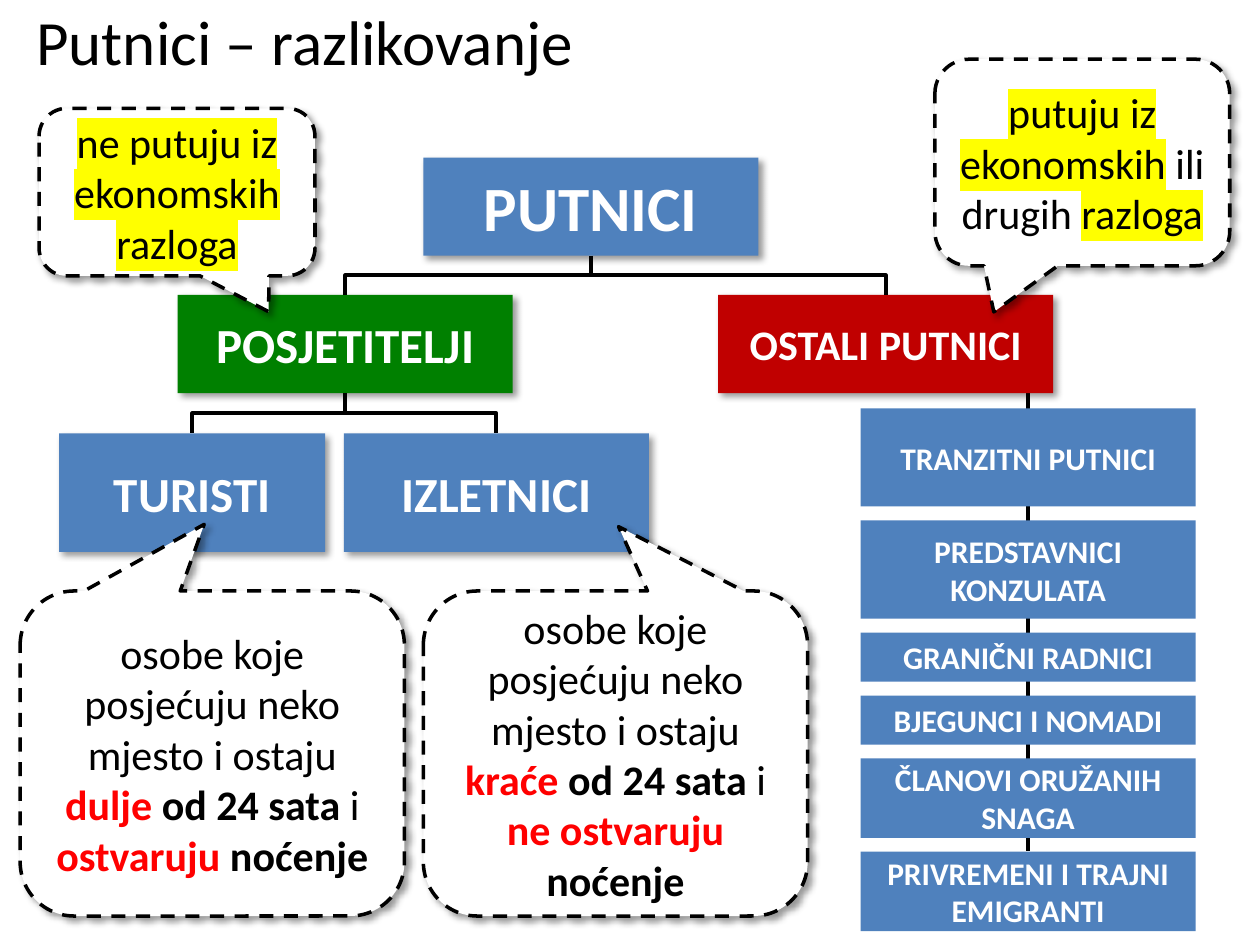
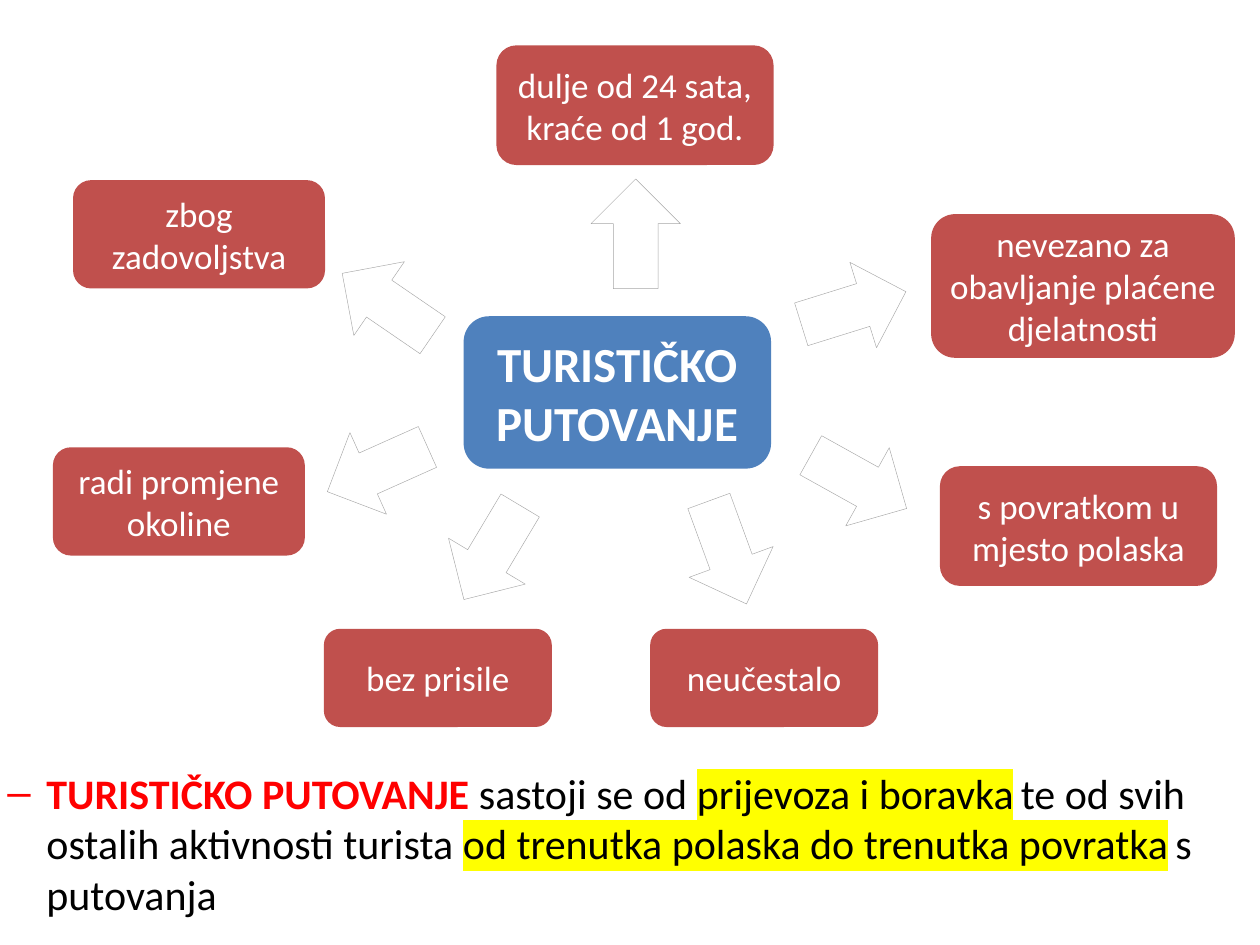
from dataclasses import dataclass

from lxml import etree
from pptx import Presentation
from pptx.dml.color import RGBColor
from pptx.enum.dml import MSO_LINE
from pptx.enum.shapes import MSO_CONNECTOR, MSO_SHAPE
from pptx.enum.text import MSO_ANCHOR, PP_ALIGN
from pptx.oxml.ns import qn
from pptx.util import Emu, Inches, Pt


@dataclass(frozen=True)
class Theme:
    font: str = "Calibri"
    black: str = "000000"
    white: str = "FFFFFF"
    blue: str = "4F81BD"
    green: str = "008000"
    dark_red: str = "C00000"
    brick: str = "C0504D"
    red: str = "FF0000"
    grey: str = "A6A6A6"
    yellow: str = "FFFF00"
    title: int = 36
    heading: int = 28
    body: int = 24
    label: int = 20
    small: int = 18


THEME = Theme()

# Run formats
PLAIN = {"color": THEME.black, "size": THEME.body}
STRONG = PLAIN | {"bold": True}
ALERT = STRONG | {"color": THEME.red}
MARKED = PLAIN | {"highlight": THEME.yellow}
NARROW = PLAIN | {"size": THEME.small}


def white_text(size, bold=True):
    return {"color": THEME.white, "size": size, "bold": bold}


def add_runs(paragraph, runs):
    for text, style in runs:
        run = paragraph.add_run()
        run.text = text
        run.font.color.rgb = RGBColor.from_string(style["color"])
        if "highlight" in style:
            highlight = etree.SubElement(run.font._element, qn("a:highlight"))
            etree.SubElement(highlight, qn("a:srgbClr"), val=style["highlight"])
        values = {"name": THEME.font, "size": Pt(style["size"]),
                  "bold": style.get("bold", False)}
        for name, value in values.items():
            setattr(run.font, name, value)


def add_box(slide, kind, place, fill, runs=(), shadow=False, line=None, margin=None):
    """Filled shape with centred text; line is (colour, width, dash style)."""
    shape = slide.shapes.add_shape(kind, *map(Inches, place))
    shape.fill.solid()
    shape.fill.fore_color.rgb = RGBColor.from_string(fill)
    if line:
        colour, width, dash = line
        shape.line.color.rgb = RGBColor.from_string(colour)
        shape.line.width = Pt(width)
        shape.line.dash_style = dash
    else:
        shape.line.fill.background()
    shape.shadow.inherit = False
    if shadow:
        add_shadow(shape)
    frame = shape.text_frame
    frame.word_wrap = True
    frame.vertical_anchor = MSO_ANCHOR.MIDDLE
    if margin is not None:
        for side in ("left", "top", "right", "bottom"):
            setattr(frame, f"margin_{side}", Inches(margin))
    frame.paragraphs[0].alignment = PP_ALIGN.CENTER
    add_runs(frame.paragraphs[0], runs)
    return shape


def add_shadow(shape):
    effects = shape._element.spPr.find(qn("a:effectLst"))
    outer = etree.SubElement(effects, qn("a:outerShdw"), blurRad=str(Pt(4)),
                             dist=str(Pt(3)), dir="2700000", algn="tl",
                             rotWithShape="0")
    colour = etree.SubElement(outer, qn("a:srgbClr"), val=THEME.black)
    etree.SubElement(colour, qn("a:alpha"), val="40000")


def add_callout(slide, place, pointer, runs):
    callout = add_box(slide, MSO_SHAPE.ROUNDED_RECTANGULAR_CALLOUT, place,
                      THEME.white, runs, shadow=True,
                      line=(THEME.black, 2, MSO_LINE.DASH))
    for index, value in enumerate(pointer):
        callout.adjustments[index] = value


def add_line(slide, kind, *ends):
    connector = slide.shapes.add_connector(kind, *map(Emu, ends))
    connector.line.color.rgb = RGBColor.from_string(THEME.black)
    connector.line.width = Pt(2.25)
    etree.SubElement(connector._element.spPr, qn("a:effectLst"))
    return connector


def add_branch(slide, parent, child):
    """Elbow from the parent's bottom centre down to the child's top centre."""
    start_x = parent.left + parent.width // 2
    start_y = parent.top + parent.height
    end_x = child.left + child.width // 2
    middle_x, middle_y = (start_x + end_x) // 2, (start_y + child.top) // 2
    half_drop = (child.top - start_y) // 2
    half_span = abs(end_x - start_x) // 2
    rotation = 90
    if end_x > start_x:
        half_drop, rotation = -half_drop, 270
    # The unrotated elbow is horizontal, so its sides are swapped
    elbow = add_line(slide, MSO_CONNECTOR.ELBOW,
                     middle_x - half_drop, middle_y - half_span,
                     middle_x + half_drop, middle_y + half_span)
    elbow._element.spPr.find(qn("a:xfrm")).set("rot", str(rotation * 60000))


def add_text(slide, place, runs, anchor=MSO_ANCHOR.TOP, bullet=None):
    frame = slide.shapes.add_textbox(*map(Inches, place)).text_frame
    frame.word_wrap = True
    frame.vertical_anchor = anchor
    paragraph = frame.paragraphs[0]
    if bullet:
        properties = paragraph._p.get_or_add_pPr()
        properties.set("marL", str(Inches(0.31)))
        properties.set("indent", str(Inches(-0.31)))
        etree.SubElement(properties, qn("a:buFont"), typeface="Arial")
        etree.SubElement(properties, qn("a:buChar"), char=bullet)
    add_runs(paragraph, runs)


def add_traveller_list(slide):
    add_line(slide, MSO_CONNECTOR.STRAIGHT, *map(Inches, (8.16, 3.08, 8.16, 6.75)))
    top, gap = 3.24, 0.11
    for text, height in (
        ("TRANZITNI PUTNICI", 0.78),
        ("PREDSTAVNICI KONZULATA", 0.78),
        ("GRANIČNI RADNICI", 0.39),
        ("BJEGUNCI I NOMADI", 0.39),
        ("ČLANOVI ORUŽANIH SNAGA", 0.63),
        ("PRIVREMENI I TRAJNI EMIGRANTI", 0.63),
    ):
        add_box(slide, MSO_SHAPE.RECTANGLE, (6.83, top, 2.66, height), THEME.blue,
                [(text, white_text(THEME.small))])
        top += height + gap


def build_travellers(slide):
    add_traveller_list(slide)
    add_text(slide, (0.19, -0.03, 9.69, 0.7),
             [("Putnici – razlikovanje", PLAIN | {"size": THEME.title})],
             anchor=MSO_ANCHOR.MIDDLE)

    # Hierarchy of travellers
    travellers, visitors, others, tourists, day_trippers = (
        add_box(slide, MSO_SHAPE.RECTANGLE, place, fill,
                [(text, white_text(size))], shadow=True)
        for text, place, fill, size in (
            ("PUTNICI", (3.36, 1.25, 2.66, 0.78), THEME.blue, THEME.title),
            ("POSJETITELJI", (1.41, 2.34, 2.66, 0.78), THEME.green, THEME.heading),
            ("OSTALI PUTNICI", (5.7, 2.34, 2.66, 0.78), THEME.dark_red, THEME.body),
            ("TURISTI", (0.47, 3.44, 2.11, 0.94), THEME.blue, THEME.heading),
            ("IZLETNICI", (2.73, 3.44, 2.42, 0.94), THEME.blue, THEME.heading),
        )
    )
    for parent, child in ((travellers, visitors), (travellers, others),
                          (visitors, tourists), (visitors, day_trippers)):
        add_branch(slide, parent, child)

    # Explanations
    for left, pointer, length, overnight in (
        (0.16, (-0.021, -0.705), "dulje", "ostvaruju"),
        (3.36, (0.008, -0.698), "kraće", "ne ostvaruju"),
    ):
        add_callout(slide, (left, 4.69, 3.05, 2.58), pointer, [
            ("osobe koje posjećuju neko mjesto i ostaju ", PLAIN),
            (length, ALERT), (" od 24 sata ", STRONG), ("i ", PLAIN),
            (overnight, ALERT), (" noćenje", STRONG)])
    add_callout(slide, (7.42, 0.47, 2.34, 1.64), (-0.3, 0.723), [
        ("putuju iz ekonomskih", MARKED), (" ili drugih ", PLAIN),
        ("razloga", MARKED)])
    add_callout(slide, (0.31, 0.86, 2.19, 1.33), (0.332, 0.714),
                [("ne putuju iz ekonomskih razloga", MARKED)])


def build_tourist_trip(slide):
    add_box(slide, MSO_SHAPE.ROUNDED_RECTANGLE, (3.68, 2.51, 2.44, 1.21), THEME.blue,
            [("TURISTIČKO PUTOVANJE", white_text(THEME.heading))])

    # Features with the arrow (left, top, rotation) that leads to each
    for text, place, (left, top, rotation) in (
        ("dulje od 24 sata, kraće od 1 god.", (3.94, 0.36, 2.2, 0.95), (4.61, 1.5, 270)),
        ("nevezano za obavljanje plaćene djelatnosti", (7.39, 1.7, 2.41, 1.14),
         (6.34, 2.09, 342.7)),
        ("s povratkom u mjesto polaska", (7.46, 3.7, 2.2, 0.95), (6.38, 3.47, 29.1)),
        ("neučestalo", (5.16, 4.99, 1.81, 0.78), (5.34, 4.03, 69.9)),
        ("bez prisile", (2.57, 4.99, 1.81, 0.78), (3.47, 4.03, 120.9)),
        ("radi promjene okoline", (0.42, 3.55, 2, 0.86), (2.56, 3.37, 155.9)),
        ("zbog zadovoljstva", (0.58, 1.43, 2, 0.86), (2.64, 2.06, 214.4)),
    ):
        arrow = add_box(slide, MSO_SHAPE.RIGHT_ARROW, (left, top, 0.87, 0.71),
                        THEME.white, line=(THEME.grey, 0.25, MSO_LINE.SOLID))
        arrow.rotation = rotation
        add_box(slide, MSO_SHAPE.ROUNDED_RECTANGLE, place, THEME.brick,
                [(text, white_text(THEME.label, bold=False))], margin=0.04)

    # Definition
    add_text(slide, (-0.04, 6.04, 9.79, 1.31), [
        ("TURISTIČKO PUTOVANJE ", ALERT), ("sastoji se od ", PLAIN),
        ("prijevoza i boravka", MARKED), (" ", NARROW),
        ("te od svih ostalih aktivnosti turista ", PLAIN),
        ("od trenutka polaska do trenutka povratka", MARKED), (" ", NARROW),
        ("s putovanja", PLAIN)], bullet="–")


def main():
    presentation = Presentation()
    presentation.slide_width = Inches(10)
    presentation.slide_height = Inches(7.5)
    blank = presentation.slide_layouts[6]
    for build in (build_travellers, build_tourist_trip):
        build(presentation.slides.add_slide(blank))
    presentation.save("out.pptx")


if __name__ == "__main__":
    main()
